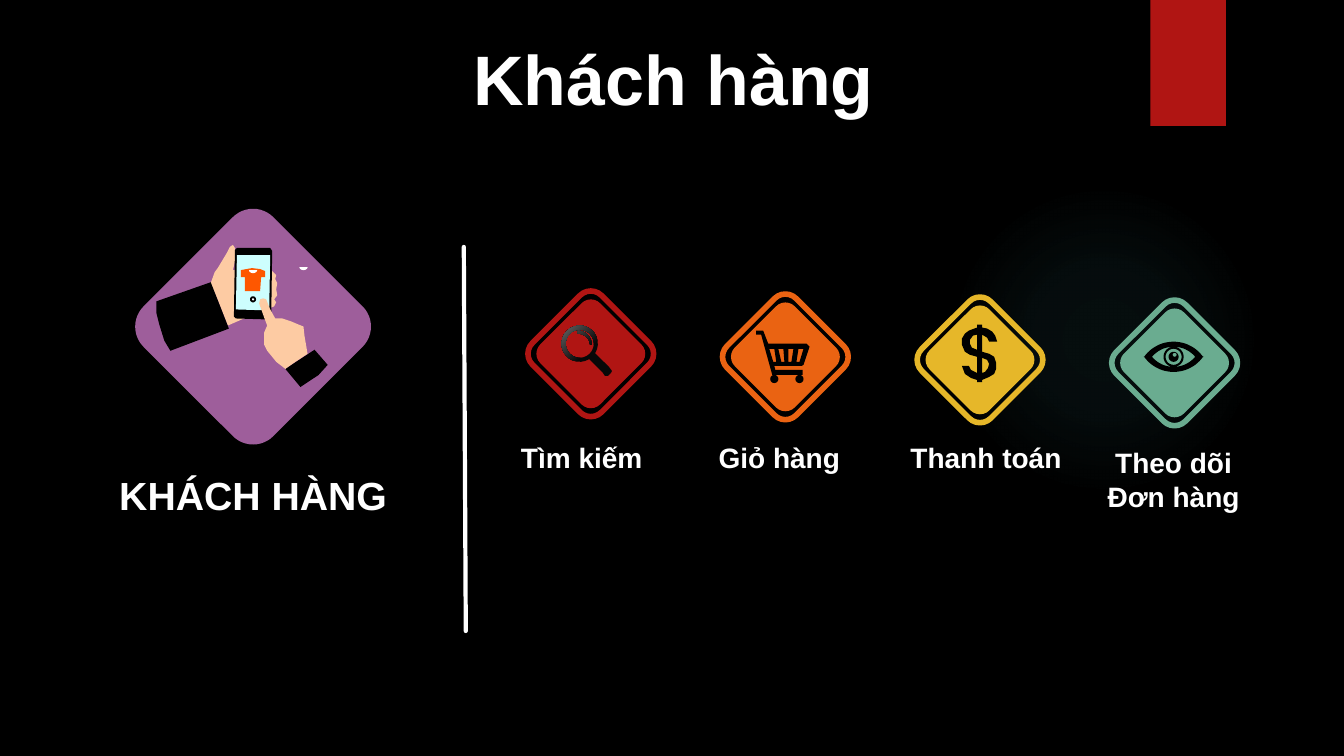
from math import cos, radians, sin

from lxml import etree
from pptx import Presentation
from pptx.dml.color import RGBColor
from pptx.enum.shapes import MSO_CONNECTOR, MSO_SHAPE
from pptx.enum.text import MSO_ANCHOR, MSO_AUTO_SIZE, PP_ALIGN
from pptx.oxml import parse_xml
from pptx.oxml.ns import nsdecls, qn
from pptx.util import Inches, Pt

OVAL, RECTANGLE = MSO_SHAPE.OVAL, MSO_SHAPE.RECTANGLE
ROUNDED, STRAIGHT = MSO_SHAPE.ROUNDED_RECTANGLE, MSO_CONNECTOR.STRAIGHT
MIDDLE, CENTER = MSO_ANCHOR.MIDDLE, PP_ALIGN.CENTER
NO_FIT, GROW = MSO_AUTO_SIZE.NONE, MSO_AUTO_SIZE.SHAPE_TO_FIT_TEXT

COLORS = {
    "black": "000000", "white": "FFFFFF", "red": "B01513", "orange": "EA6312",
    "yellow": "E6B729", "green": "6AAC90", "purple": "9E5E9B", "glow": "50B9C1",
    "skin": "FDCBA3", "screen": "CDFEFE", "shirt": "FE5700",
    "lens dark": "080808", "lens light": "666666",
}
RGB = {name: RGBColor.from_string(value) for name, value in COLORS.items()}
UNITS_PER_INCH = 1000

presentation = Presentation()
presentation.slide_width, presentation.slide_height = Inches(13.33), Inches(7.5)
slide = presentation.slides.add_slide(presentation.slide_layouts[5])
slide.background.fill.solid()
slide.background.fill.fore_color.rgb = RGB["black"]
shapes = slide.shapes


def arc(center_x, center_y, radius_x, radius_y, start=0, end=360):
    """Return points along an ellipse, with angles in degrees clockwise from the right."""
    angles = [radians(start + (end - start) * step / 24) for step in range(25)]
    return [(center_x + radius_x * cos(a), center_y + radius_y * sin(a)) for a in angles]


def draw_outline(color, contours):
    """Draw closed contours, in inches, as one shape; inner contours become holes."""
    scaled = [[(x * UNITS_PER_INCH, y * UNITS_PER_INCH) for x, y in contour]
              for contour in contours]
    builder = shapes.build_freeform(*scaled[0][0], scale=Inches(1) / UNITS_PER_INCH)
    for index, points in enumerate(scaled):
        if index:
            builder.move_to(*points[0])
        builder.add_line_segments(points[1:], close=True)
    outline = builder.convert_to_shape()
    outline.shadow.inherit = False
    outline.fill.solid()
    outline.fill.fore_color.rgb = RGB[color]
    outline.line.fill.background()
    return outline


# Background glow and ribbon
glow = shapes.add_shape(OVAL, Inches(9.41), Inches(1.83), Inches(3.08), Inches(3.08))
ribbon = shapes.add_shape(RECTANGLE, Inches(11.41), 0, Inches(0.75), Inches(1.25))
for shape, color in ((glow, "glow"), (ribbon, "red")):
    shape.shadow.inherit = False
    shape.fill.solid()
    shape.fill.fore_color.rgb = RGB[color]
    shape.line.fill.background()
stops = "".join(
    f'<a:gs pos="{position}000"><a:srgbClr val="{COLORS["glow"]}">'
    f'<a:alpha val="{alpha}000"/></a:srgbClr></a:gs>'
    for position, alpha in ((0, 7), (36, 6), (69, 0), (100, 0)))
solid_fill = glow.element.spPr.find(qn("a:solidFill"))
solid_fill.getparent().replace(solid_fill, parse_xml(
    f'<a:gradFill {nsdecls("a")}><a:gsLst>{stops}</a:gsLst><a:path path="circle">'
    '<a:fillToRect l="50000" t="50000" r="50000" b="50000"/></a:path></a:gradFill>'))

# Diamonds: center x, center y, side, fill, outline
STEPS = [
    ("red", "Tìm kiếm", 5.77, 4.32, 1.53, 0.44),
    ("orange", "Giỏ hàng", 7.73, 4.32, 1.53, 0.44),
    ("yellow", "Thanh toán", 9.78, 4.32, 1.73, 0.44),
    ("green", "Theo dõi\nĐơn hàng", 11.64, 4.37, 1.55, 0.77),
]
diamonds = [(2.51, 3.24, 1.82, "purple", None)]
for column, step in enumerate(STEPS):
    center = 5.86 + 1.93 * column, 3.51 + 0.03 * column
    diamonds += [(*center, 0.97, None, step[0]), (*center, 0.84, step[0], None)]
for x, y, side, fill, outline in diamonds:
    diamond = shapes.add_shape(ROUNDED, Inches(x - side / 2), Inches(y - side / 2),
                               Inches(side), Inches(side))
    diamond.adjustments[0] = 0.156
    diamond.rotation = 315
    diamond.shadow.inherit = False
    diamond.fill.background()
    diamond.line.fill.background()
    if fill:
        diamond.fill.solid()
        diamond.fill.fore_color.rgb = RGB[fill]
    if outline:
        diamond.line.color.rgb = RGB[outline]
        diamond.line.width = Pt(4)

# Divider
divider = shapes.add_connector(STRAIGHT, Inches(4.6), Inches(2.45), Inches(4.62), Inches(6.26))
divider.line.color.rgb = RGB["white"]
divider.line.width = Pt(3)
divider.element.spPr.find(qn("a:ln")).set("cap", "rnd")
etree.SubElement(divider.element.spPr, qn("a:effectLst"))

# Title and labels
title = shapes.title
title.left, title.top = Inches(0.35), Inches(0.37)
title.width, title.height = Inches(12.66), Inches(0.79)
texts = [(title, "Khách hàng", 50, 10, NO_FIT)]
labels = [("KHÁCH HÀNG", 2.51, 4.62, 3.07, 0.57, 28)]
labels += [(*step[1:], 20) for step in STEPS]
for text, center_x, top, width, height, size in labels:
    label = shapes.add_textbox(Inches(center_x - width / 2), Inches(top),
                               Inches(width), Inches(height))
    texts.append((label, text, size, 0, GROW))
for shape, text, size, space_before, auto_size in texts:
    frame = shape.text_frame
    frame.text = text
    frame_format = {"word_wrap": True, "auto_size": auto_size, "vertical_anchor": MIDDLE}
    for name, value in frame_format.items():
        setattr(frame, name, value)
    for paragraph in frame.paragraphs:
        paragraph.alignment = CENTER
        paragraph.space_before = Pt(space_before)
        font_format = {"name": "Arial", "size": Pt(size), "bold": True}
        for name, value in font_format.items():
            setattr(paragraph.font, name, value)
        paragraph.font.color.rgb = RGB["white"]

# Magnifier
handle = [(6.04, 3.64), (6.07, 3.68), (6.06, 3.7), (6.03, 3.73), (6, 3.73), (5.98, 3.7)]
magnifier = draw_outline("black", [
    arc(5.75, 3.41, 0.18, 0.18, 58, 392) + handle,
    arc(5.75, 3.41, 0.14, 0.14),
    arc(5.73, 3.42, 0.14, 0.14, -90, 0) + arc(5.73, 3.42, 0.12, 0.11, 0, -90),
])
magnifier.fill.gradient()
magnifier.fill.gradient_angle = 135
for stop, position, color in zip(magnifier.fill.gradient_stops, (0.48, 1),
                                 ("lens dark", "lens light")):
    stop.position = position
    stop.color.rgb = RGB[color]

# Cart
basket = [(7.5, 3.28), (7.57, 3.28), (7.62, 3.41), (8, 3.41), (8.03, 3.44), (7.97, 3.62),
          (7.95, 3.63), (7.68, 3.63), (7.69, 3.67), (7.96, 3.67), (7.96, 3.72),
          (7.66, 3.72), (7.55, 3.32), (7.5, 3.32)]
slots = [[(left, 3.46), (left + 0.05, 3.46), (bottom + 0.03, 3.59), (bottom, 3.59)]
         for left, bottom in ((7.63, 7.67), (7.72, 7.75), (7.82, 7.82), (7.92, 7.9))]
wheels = [arc(x, 3.76, 0.04, 0.04) for x in (7.68, 7.93)]
draw_outline("black", [basket, *slots, *wheels])

# Dollar sign
draw_outline("black", [
    [(9.69, 3.22), (9.74, 3.22), (9.74, 3.25), (9.79, 3.26), (9.84, 3.29), (9.87, 3.33),
     (9.89, 3.39), (9.81, 3.39), (9.79, 3.35), (9.74, 3.32), (9.74, 3.49), (9.81, 3.51),
     (9.86, 3.54), (9.88, 3.6), (9.88, 3.66), (9.86, 3.71), (9.81, 3.74), (9.74, 3.77),
     (9.74, 3.79), (9.69, 3.79), (9.69, 3.77), (9.63, 3.75), (9.57, 3.71), (9.54, 3.63),
     (9.61, 3.63), (9.63, 3.67), (9.69, 3.7), (9.69, 3.54), (9.62, 3.52), (9.57, 3.49),
     (9.54, 3.42), (9.54, 3.36), (9.57, 3.31), (9.61, 3.28), (9.69, 3.25)],
    [(9.74, 3.55), (9.74, 3.7), (9.77, 3.69), (9.8, 3.65), (9.81, 3.61), (9.79, 3.57)],
    [(9.69, 3.32), (9.65, 3.33), (9.62, 3.37), (9.62, 3.41), (9.64, 3.45), (9.69, 3.47)],
])

# Eye: two lids around concentric circles
lids = [arc(11.64, 3.54 + offset, radius, radius, 270 - half, 270 + half)
        + arc(11.64, 3.54 - offset, radius, radius, 90 - half, 90 + half)
        for radius, offset, half in ((0.36, 0.21, 55), (0.28, 0.18, 50))]
circles = [arc(11.64, 3.54, radius, radius) for radius in (0.1, 0.08, 0.05)]
draw_outline("black", [*lids, *circles, arc(11.65, 3.52, 0.02, 0.02)])

# Hands holding a phone, from back to front
HANDS_AND_PHONE = [
    ("skin", [(2.33, 2.46), (2.31, 2.43), (2.28, 2.45), (2.25, 2.51), (2.16, 2.66),
              (2.13, 2.7), (2.09, 2.81), (2.17, 3), (2.26, 3.23), (2.42, 3.16),
              (2.72, 3.04), (2.74, 3), (2.72, 2.97), (2.75, 2.93), (2.74, 2.87),
              (2.75, 2.81), (2.73, 2.77), (2.74, 2.73), (2.69, 2.68), (2.55, 2.65),
              (2.31, 2.68), (2.33, 2.6)]),
    ("black", [(2.34, 3.16), (2.32, 3.14), (2.33, 2.48), (2.35, 2.46), (2.68, 2.46),
               (2.7, 2.49), (2.69, 3.15), (2.67, 3.17)]),
    ("screen", [(2.34, 3.07), (2.35, 2.53), (2.68, 2.53), (2.67, 3.08)]),
    ("black", [(1.55, 2.99), (2.09, 2.8), (2.27, 3.26), (1.69, 3.48), (1.63, 3.38),
               (1.58, 3.22), (1.55, 3.1)]),
    ("black", [(2.98, 3.84), (2.83, 3.66), (3.12, 3.47), (3.25, 3.62), (3.16, 3.72)]),
    ("skin", [(3.05, 3.51), (2.93, 3.59), (2.83, 3.66), (2.74, 3.59), (2.65, 3.48),
              (2.62, 3.42), (2.62, 3.3), (2.65, 3.23), (2.62, 3.15), (2.57, 3.01),
              (2.58, 2.97), (2.61, 2.96), (2.64, 2.97), (2.68, 3.07), (2.73, 3.16),
              (2.8, 3.16), (2.89, 3.19), (2.96, 3.22), (3.01, 3.24), (3.02, 3.33)]),
    ("white", arc(3.01, 2.65, 0.04, 0.03, 0, 180)),
    ("shirt", [(2.39, 2.68), (2.5, 2.66), (2.58, 2.67), (2.63, 2.69), (2.63, 2.75),
               (2.59, 2.75), (2.58, 2.89), (2.43, 2.89), (2.43, 2.75), (2.39, 2.75)]),
    ("black", arc(2.51, 2.97, 0.03, 0.03)),
    ("white", arc(2.51, 2.68, 0.04, 0.03, 0, 180)),
    ("white", arc(2.51, 2.97, 0.01, 0.01)),
]
for color, contour in HANDS_AND_PHONE:
    draw_outline(color, [contour])

presentation.save("out.pptx")
